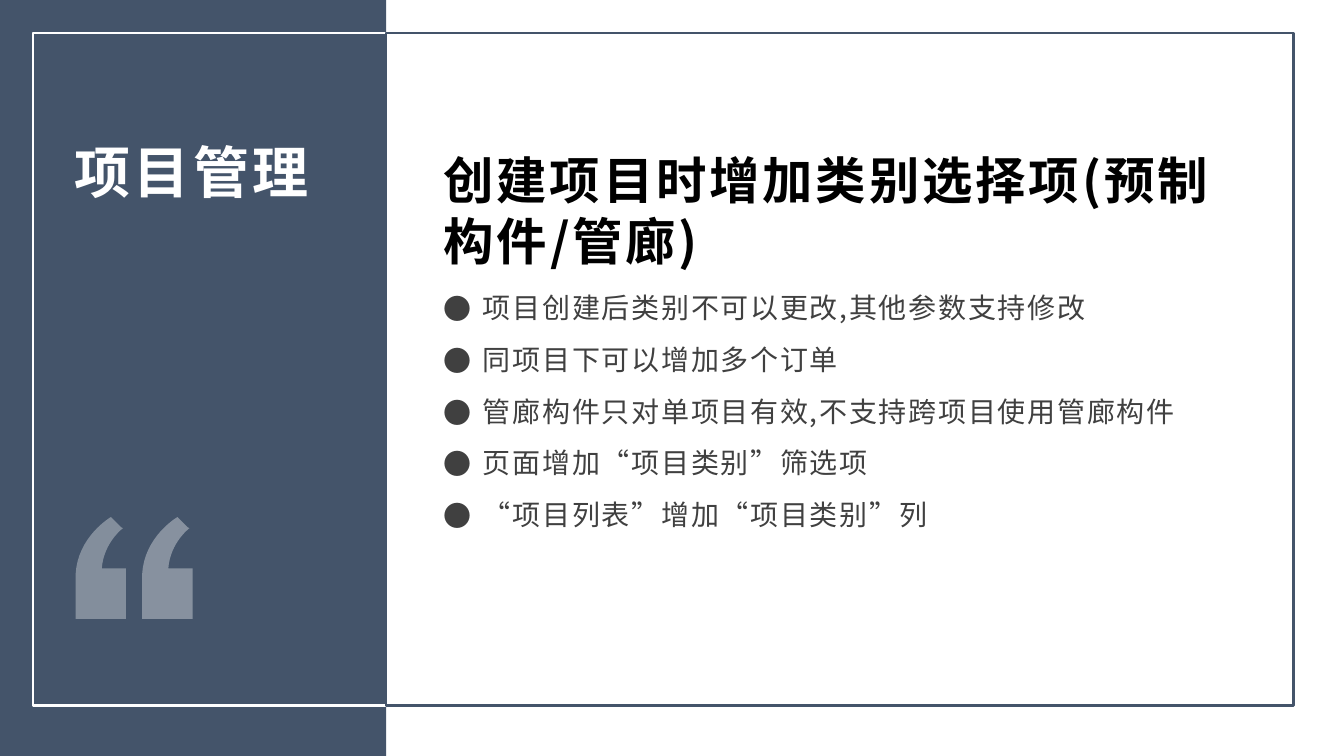
from lxml import etree
from pptx import Presentation
from pptx.dml.color import RGBColor
from pptx.enum.shapes import MSO_SHAPE
from pptx.enum.text import MSO_ANCHOR
from pptx.oxml.ns import qn
from pptx.util import Inches, Pt

RECTANGLE = MSO_SHAPE.RECTANGLE
TOP, BOTTOM = MSO_ANCHOR.TOP, MSO_ANCHOR.BOTTOM
FONT = "Noto Sans CJK SC"
COLORS = {"navy": "44546A", "white": "FFFFFF", "black": "000000", "body": "404040"}
BLANK_LAYOUT = 6

PANEL_WIDTH, SLIDE_HEIGHT = 3.83, 7.5
MARGIN, FRAME_HEIGHT = 0.33, 6.67
QUOTE_TOP = 5.13
QUOTE_MARKS = [(1.41, 36), (0.75, 34)]  # left edge, opacity in percent

TITLE = "项目管理"
HEADING = "创建项目时增加类别选择项(预制构件/管廊)"
BULLETS = [
    "项目创建后类别不可以更改,其他参数支持修改",
    "同项目下可以增加多个订单",
    "管廊构件只对单项目有效,不支持跨项目使用管廊构件",
    "页面增加“项目类别”筛选项",
    "“项目列表”增加“项目类别”列",
]


def curve(start, control_1, control_2, end, steps=16):
    """Return points along a cubic Bezier curve, both ends included."""
    points = []
    for step in range(steps + 1):
        t = step / steps
        weights = ((1 - t) ** 3, 3 * t * (1 - t) ** 2, 3 * t * t * (1 - t), t ** 3)
        points.append(tuple(
            sum(weight * value for weight, value in zip(weights, values))
            for values in zip(start, control_1, control_2, end)))
    return points


def quote_outline():
    """Return the quote mark outline, relative to its top left corner."""
    outer = curve((0, 0.57), (0.02, 0.19), (0.35, 0), (0.35, 0))
    inner = curve((0.47, 0.11), (0.47, 0.11), (0.28, 0.25), (0.26, 0.51))
    return [(0.5, 1.01), (0, 1.01), *outer, (0.45, 0.1), *inner, (0.5, 0.51)]


class SlideBuilder:
    """Holds the style and the current slide."""

    def __init__(self, slide):
        """Keep the slide that receives the elements."""
        self.slide = slide

    def color(self, name):
        """Return a named colour."""
        return RGBColor.from_string(COLORS[name])

    def rectangle(self, left, top, width, height, fill=None, line=None):
        """Add a rectangle with an optional fill and outline."""
        shape = self.slide.shapes.add_shape(
            RECTANGLE, Inches(left), Inches(top), Inches(width), Inches(height))
        shape.shadow.inherit = False
        if fill:
            shape.fill.solid()
            shape.fill.fore_color.rgb = self.color(fill)
        else:
            shape.fill.background()
        if line:
            shape.line.color.rgb = self.color(line)
            shape.line.width = Pt(1.5)
        else:
            shape.line.fill.background()

    def outline(self, points, left, top, fill, opacity):
        """Add a translucent closed outline at the given place."""
        placed = [(Inches(left + x), Inches(top + y)) for x, y in points]
        builder = self.slide.shapes.build_freeform(*placed[0])
        builder.add_line_segments(placed[1:], close=True)
        shape = builder.convert_to_shape()
        shape.shadow.inherit = False
        shape.line.fill.background()
        shape.fill.solid()
        shape.fill.fore_color.rgb = self.color(fill)
        color_element = shape._element.spPr.find(qn("a:solidFill"))[0]
        etree.SubElement(color_element, qn("a:alpha"), val=str(opacity * 1000))

    def text(self, left, top, width, height, lines, size, color, spacing,
             bold=False, anchor=TOP, bulleted=False):
        """Add a text box with one paragraph per line."""
        frame = self.slide.shapes.add_textbox(
            Inches(left), Inches(top), Inches(width), Inches(height)).text_frame
        frame.word_wrap = True
        frame.vertical_anchor = anchor
        frame.margin_left = frame.margin_right = Inches(0.07)
        frame.margin_top = frame.margin_bottom = Inches(0.03)
        for index, line in enumerate(lines):
            paragraph = frame.add_paragraph() if index else frame.paragraphs[0]
            if bulleted:
                self.bullet(paragraph)
            run = paragraph.add_run()
            run.text = line
            run.font.name = FONT
            run.font.size = Pt(size)
            run.font.bold = bold
            run.font.color.rgb = self.color(color)
            properties = run._r.get_or_add_rPr()
            properties.set("lang", "zh-CN")
            properties.set("spc", str(round(spacing * 100)))
            etree.SubElement(properties, qn("a:ea"), typeface=FONT)

    def bullet(self, paragraph):
        """Give a paragraph a hanging round bullet and list spacing."""
        paragraph.line_spacing = 1.2
        paragraph.space_after = Pt(8)
        properties = paragraph._p.get_or_add_pPr()
        indent = Inches(0.39)
        properties.set("marL", str(indent))
        properties.set("indent", str(-indent))
        etree.SubElement(properties, qn("a:buFont"), typeface=FONT)
        etree.SubElement(properties, qn("a:buChar"), char="●")


def main():
    """Build and save the slide."""
    presentation = Presentation()
    presentation.slide_width = Inches(13.33)
    presentation.slide_height = Inches(SLIDE_HEIGHT)
    layout = presentation.slide_layouts[BLANK_LAYOUT]
    builder = SlideBuilder(presentation.slides.add_slide(layout))

    builder.rectangle(0, 0, PANEL_WIDTH, SLIDE_HEIGHT, fill="navy")
    builder.rectangle(MARGIN, MARGIN, PANEL_WIDTH - MARGIN, FRAME_HEIGHT, line="white")
    builder.rectangle(PANEL_WIDTH, MARGIN, 9, FRAME_HEIGHT, line="navy")
    for left, opacity in QUOTE_MARKS:
        builder.outline(quote_outline(), left, QUOTE_TOP, "white", opacity)

    builder.text(0.67, 1.33, 2.83, 2.17, [TITLE], 40, "white", 2.4, bold=True)
    builder.text(4.33, 1.33, 8, 1.38, [HEADING], 36, "black", 2,
                 bold=True, anchor=BOTTOM)
    builder.text(4.33, 2.79, 8, 3.21, BULLETS, 20, "body", 1.2, bulleted=True)
    presentation.save("out.pptx")


main()
